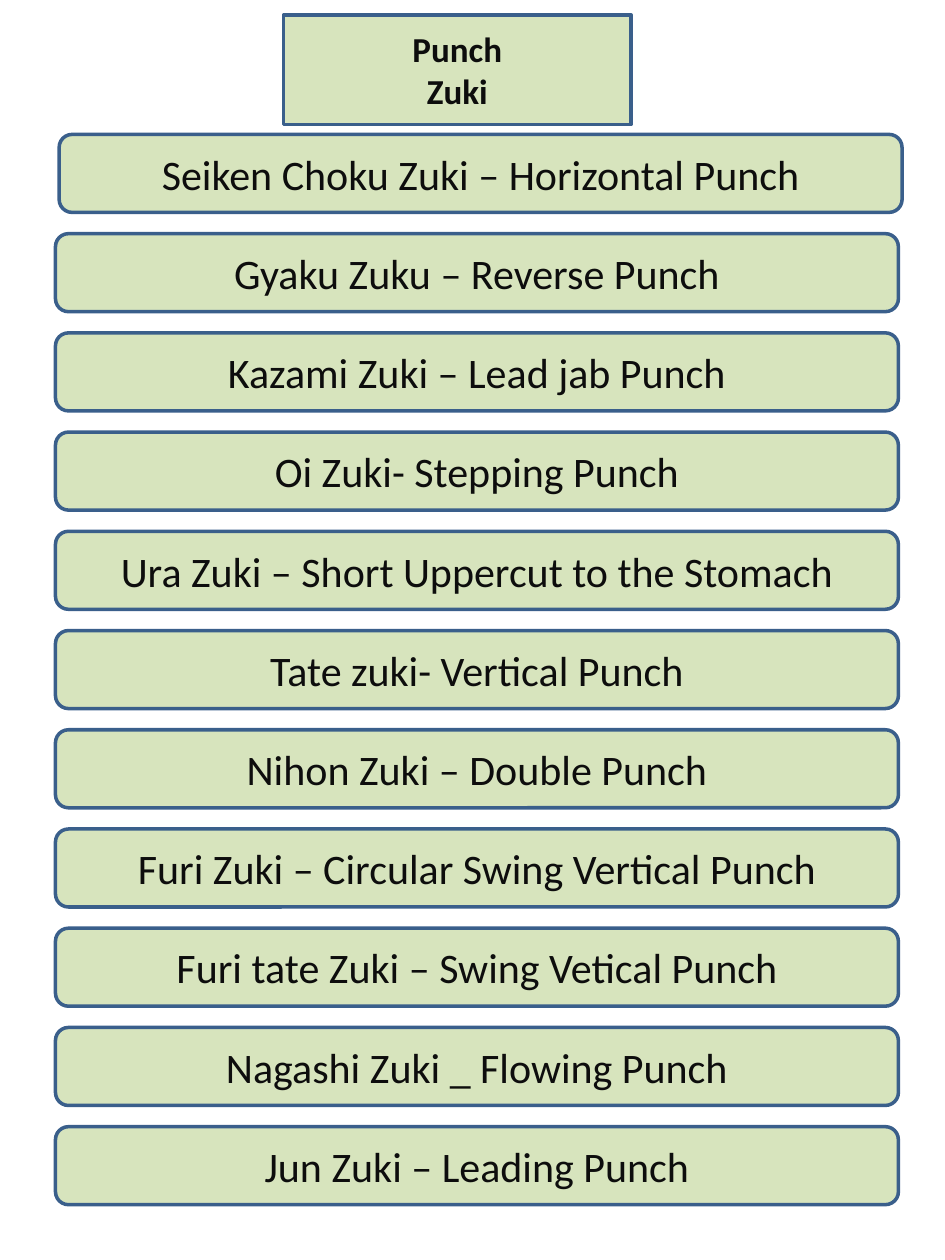
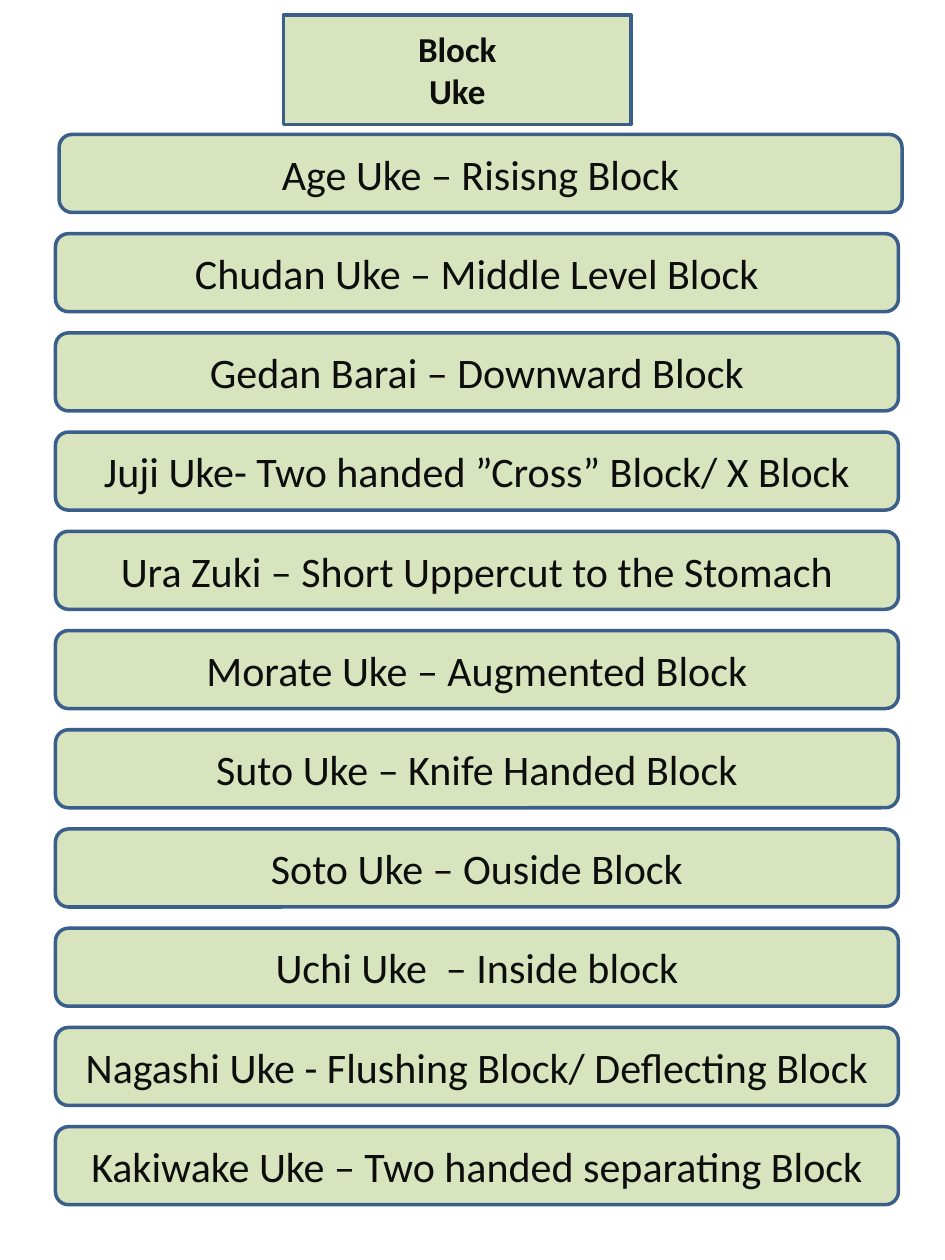
from dataclasses import dataclass

from lxml import etree
from pptx import Presentation
from pptx.dml.color import RGBColor
from pptx.enum.shapes import MSO_SHAPE
from pptx.enum.text import MSO_ANCHOR, MSO_AUTO_SIZE, PP_ALIGN
from pptx.oxml.ns import qn
from pptx.util import Pt

ROUNDED = MSO_SHAPE.ROUNDED_RECTANGLE
MIDDLE = MSO_ANCHOR.MIDDLE
CENTER = PP_ALIGN.CENTER
NO_AUTOFIT = MSO_AUTO_SIZE.NONE
TITLE_ONLY = 5

# Content: title lines, then the techniques from top to bottom
SHEETS = [
    (["Punch", "Zuki"], [
        "Seiken Choku Zuki – Horizontal Punch",
        "Gyaku Zuku – Reverse Punch",
        "Kazami Zuki – Lead jab Punch",
        "Oi Zuki- Stepping Punch",
        "Ura Zuki – Short Uppercut to the Stomach",
        "Tate zuki- Vertical Punch",
        "Nihon Zuki – Double Punch",
        "Furi Zuki – Circular Swing Vertical Punch",
        "Furi tate Zuki – Swing Vetical Punch",
        "Nagashi Zuki _ Flowing Punch",
        "Jun Zuki – Leading Punch",
    ]),
    (["Block", "Uke"], [
        "Age Uke – Risisng Block",
        "Chudan Uke – Middle Level Block",
        "Gedan Barai – Downward Block",
        "Juji Uke- Two handed ”Cross” Block/ X Block",
        "Ura Zuki – Short Uppercut to the Stomach",
        "Morate Uke – Augmented Block",
        "Suto Uke – Knife Handed Block",
        "Soto Uke – Ouside Block",
        "Uchi Uke  – Inside block",
        "Nagashi Uke - Flushing Block/ Deflecting Block",
        "Kakiwake Uke – Two handed separating Block",
    ]),
]


# Look shared by all boxes
@dataclass(frozen=True)
class Theme:
    fill: RGBColor = RGBColor(0xD7, 0xE4, 0xBD)
    outline: RGBColor = RGBColor(0x3A, 0x5F, 0x8B)
    text: RGBColor = RGBColor(0x0D, 0x0D, 0x0D)
    font: str = "Calibri"
    title_size: int = 20
    bar_size: int = 24
    line_width: int = 2


THEME = Theme()

# Layout in points
SLIDE_SIZE = (540, 720)
TITLE_BOX = (162, 8.6, 198.7, 62.6)
BAR_LEFT, BAR_TOP, BAR_WIDTH, BAR_HEIGHT = 31.7, 76.8, 481.7, 44.6
BAR_STEP = 56.7
FIRST_BAR_SHIFT = 2.1


def style_box(shape, lines, size, bold):
    shape.fill.solid()
    shape.fill.fore_color.rgb = THEME.fill
    shape.line.color.rgb = THEME.outline
    shape.line.width = Pt(THEME.line_width)
    frame = shape.text_frame
    frame.text = "\n".join(lines)
    frame.word_wrap = True
    frame.auto_size = NO_AUTOFIT
    frame.vertical_anchor = MIDDLE
    for paragraph in frame.paragraphs:
        paragraph.alignment = CENTER
        font = paragraph.font
        font.name, font.size, font.bold = THEME.font, Pt(size), bold
        font.color.rgb = THEME.text


def add_title(slide, lines):
    title = slide.shapes.title
    title.left, title.top, title.width, title.height = map(Pt, TITLE_BOX)
    # A placeholder gets its rounded outline through XML
    geometry = etree.SubElement(title.element.spPr, qn("a:prstGeom"), prst="roundRect")
    etree.SubElement(geometry, qn("a:avLst"))
    style_box(title, lines, THEME.title_size, True)


def add_bar(slide, index, text):
    left = BAR_LEFT + (FIRST_BAR_SHIFT if index == 0 else 0)
    top = BAR_TOP + index * BAR_STEP
    bar = slide.shapes.add_shape(ROUNDED, *map(Pt, (left, top, BAR_WIDTH, BAR_HEIGHT)))
    bar.shadow.inherit = False
    style_box(bar, [text], THEME.bar_size, False)


def main():
    presentation = Presentation()
    presentation.slide_width, presentation.slide_height = map(Pt, SLIDE_SIZE)
    for title_lines, techniques in SHEETS:
        slide = presentation.slides.add_slide(presentation.slide_layouts[TITLE_ONLY])
        add_title(slide, title_lines)
        for index, technique in enumerate(techniques):
            add_bar(slide, index, technique)
    presentation.save("out.pptx")


if __name__ == "__main__":
    main()
